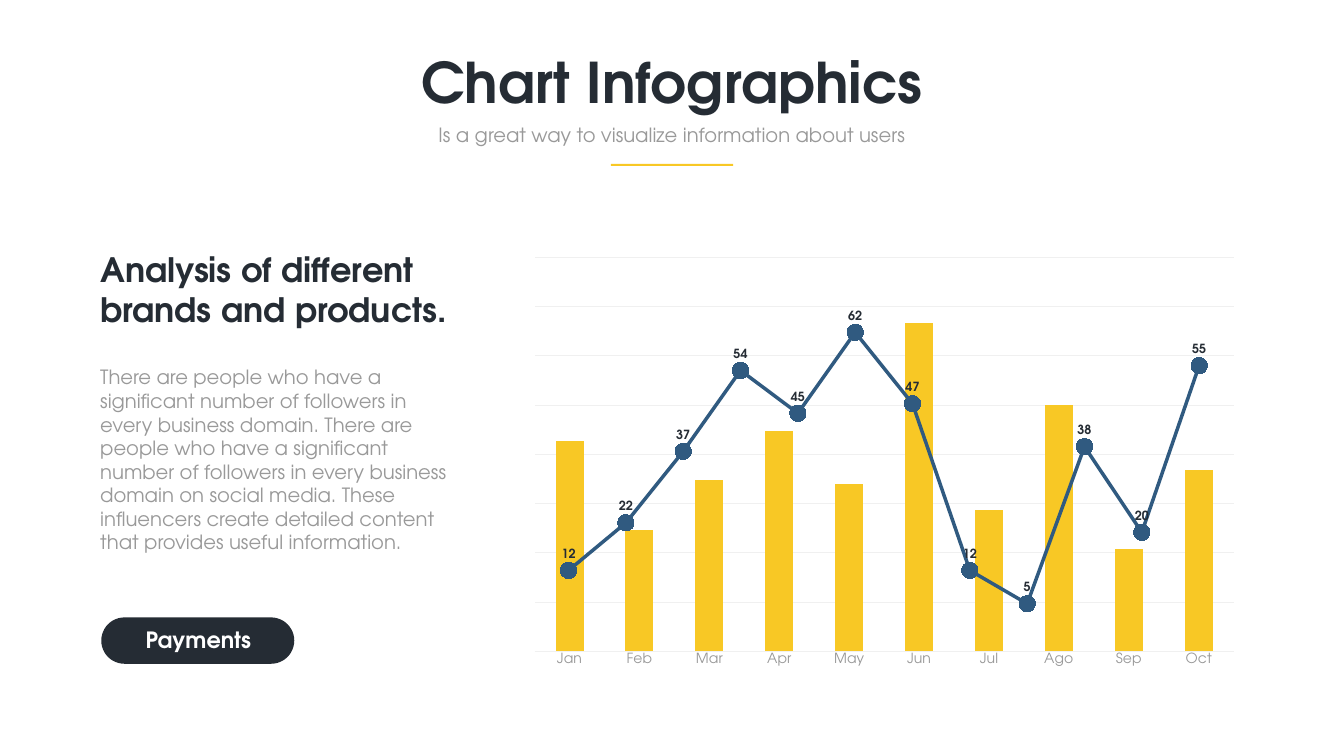
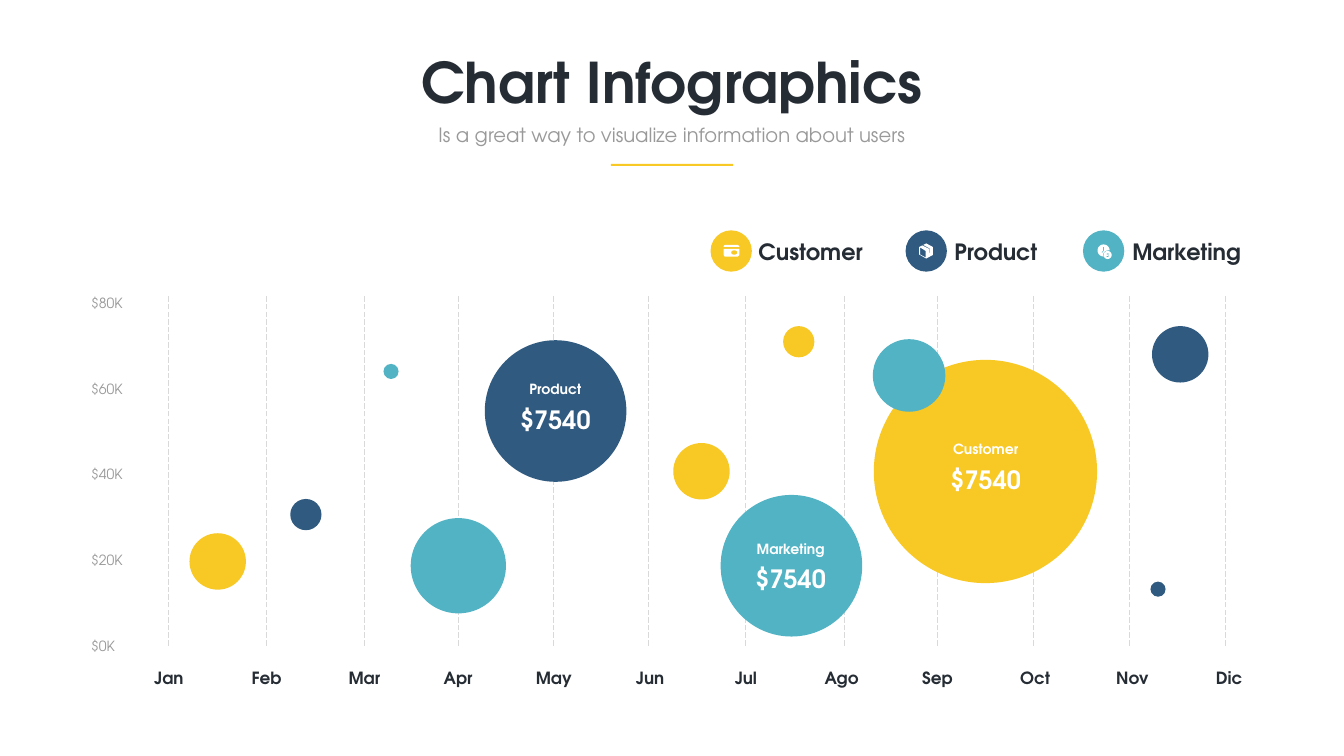
from math import cos, radians, sin

from lxml import etree
from pptx import Presentation
from pptx.chart.data import CategoryChartData
from pptx.dml.color import RGBColor
from pptx.enum.chart import XL_CHART_TYPE, XL_LABEL_POSITION, XL_MARKER_STYLE, XL_TICK_MARK
from pptx.enum.dml import MSO_LINE
from pptx.enum.shapes import MSO_CONNECTOR, MSO_SHAPE
from pptx.enum.text import MSO_ANCHOR, MSO_AUTO_SIZE, PP_ALIGN
from pptx.oxml import parse_xml
from pptx.oxml.ns import nsdecls, qn
from pptx.util import Inches, Pt

LEFT, CENTER = PP_ALIGN.LEFT, PP_ALIGN.CENTER
TOP, MIDDLE = MSO_ANCHOR.TOP, MSO_ANCHOR.MIDDLE
RECT, PILL, OVAL = MSO_SHAPE.RECTANGLE, MSO_SHAPE.ROUNDED_RECTANGLE, MSO_SHAPE.OVAL
COLUMNS, LINES = XL_CHART_TYPE.COLUMN_STACKED, XL_CHART_TYPE.LINE_MARKERS

FONT = "TeX Gyre Adventor"
HEX = {"dark": "252C34", "grey": "999999", "yellow": "F8C825", "blue": "305A80",
       "teal": "52B3C4", "white": "FFFFFF", "grid": "F0F0F0", "dash": "D9D9D9"}
C = {name: RGBColor.from_string(value) for name, value in HEX.items()}


def add_text(slide, text, x, y, w, h, size, color, bold=False, align=LEFT,
             spacing=None, anchor=TOP, inset=None):
    tf = slide.shapes.add_textbox(Inches(x), Inches(y), Inches(w), Inches(h)).text_frame
    tf.word_wrap = True
    tf.auto_size = MSO_AUTO_SIZE.SHAPE_TO_FIT_TEXT
    tf.vertical_anchor = anchor
    if inset is not None:
        tf.margin_left = tf.margin_right = tf.margin_top = tf.margin_bottom = Inches(inset)
    p = tf.paragraphs[0]
    p.alignment = align
    if spacing is not None:
        p.line_spacing = spacing
    r = p.add_run()
    r.text = text
    r.font.name = FONT
    r.font.size = Pt(size)
    r.font.bold = bold
    r.font.color.rgb = C[color]


def add_filled(slide, kind, x, y, w, h, color):
    sp = slide.shapes.add_shape(kind, Inches(x), Inches(y), Inches(w), Inches(h))
    sp.shadow.inherit = False
    sp.fill.solid()
    sp.fill.fore_color.rgb = C[color]
    sp.line.fill.background()
    return sp


prs = Presentation()
prs.slide_width, prs.slide_height = Inches(26.67), Inches(15)

# Shared heading
slides = [prs.slides.add_slide(prs.slide_layouts[6]) for _ in range(2)]
for s in slides:
    add_text(s, "Chart Infographics", 6.88, 0.9, 12.91, 1.45, 80, "dark", True, CENTER)
    add_text(s, "Is a great way to visualize information about users",
             8.55, 2.38, 9.56, 0.57, 28, "grey", align=CENTER)
    add_filled(s, RECT, 12.12, 3.25, 2.43, 0.04, "yellow")
combo, bubbles = slides

# Slide 1: columns with a line chart laid over them
# type, box, plot layout, font size, categories, values, axis maximum
MONTHS = ["Jan", "Feb", "Mar", "Apr", "May", "Jun", "Jul", "Ago", "Sep", "Oct", "Nov", "Dic"]
CHARTS = [
    (COLUMNS, (10.32, 4.93, 14.45, 8.5), (0.02, 0.02, 0.96, 0.92), 20, MONTHS[:10],
     (64, 37, 52, 67, 51, 100, 43, 75, 31, 55), 120),
    (LINES, (10.43, 5.7, 14.22, 6.89), (0.02, 0.02, 0.96, 0.96), 18,
     [str(n) for n in range(1, 13)],
     (12, 22, 37, 54, 45, 62, 47, 12, 5, 38, 20, 55), 70),
]
for kind, box, layout, size, cats, values, top in CHARTS:
    data = CategoryChartData()
    data.categories = cats
    data.add_series("Series 1", values)
    chart = combo.shapes.add_chart(kind, *map(Inches, box), data).chart
    chart.has_legend = chart.has_title = False
    chart.font.name = FONT
    chart.font.size = Pt(size)
    chart.font.color.rgb = C["grey"]

    area = chart.element.find(".//" + qn("c:plotArea"))
    for old in area.findall(qn("c:layout")):
        area.remove(old)
    x, y, w, h = layout
    area.insert(0, parse_xml(
        f'<c:layout {nsdecls("c")}><c:manualLayout><c:layoutTarget val="inner"/>'
        f'<c:xMode val="edge"/><c:yMode val="edge"/><c:x val="{x}"/><c:y val="{y}"/>'
        f'<c:w val="{w}"/><c:h val="{h}"/></c:manualLayout></c:layout>'))

    cat_axis, val_axis = chart.category_axis, chart.value_axis
    val_axis.minimum_scale, val_axis.maximum_scale = 0, top
    val_axis.visible = False
    plot = chart.plots[0]
    plot.vary_by_categories = False
    series = plot.series[0]
    if kind == COLUMNS:
        plot.gap_width, plot.overlap = 150, 100
        series.format.fill.solid()
        series.format.fill.fore_color.rgb = C["yellow"]
        val_axis.major_unit = 15
        val_axis.has_major_gridlines = True
        for line in (val_axis.major_gridlines.format.line, cat_axis.format.line):
            line.color.rgb = C["grid"]
            line.width = Pt(0.75)
        cat_axis.major_tick_mark = cat_axis.minor_tick_mark = XL_TICK_MARK.NONE
        cat_axis.tick_labels.font.name = FONT
        cat_axis.tick_labels.font.size = Pt(size)
        cat_axis.tick_labels.font.color.rgb = C["grey"]
    else:
        cat_axis.visible = False
        val_axis.has_major_gridlines = False
        series.smooth = False
        marker = series.marker
        marker.style, marker.size = XL_MARKER_STYLE.CIRCLE, 23
        marker.format.fill.solid()
        marker.format.fill.fore_color.rgb = C["white"]
        for line in (series.format.line, marker.format.line):
            line.color.rgb = C["blue"]
            line.width = Pt(5)
        labels = series.data_labels
        labels.show_value = True
        labels.position = XL_LABEL_POSITION.ABOVE
        labels.font.name = FONT
        labels.font.size = Pt(size)
        labels.font.bold = True
        labels.font.color.rgb = C["dark"]

# Side text and button
add_text(combo, "There are people who have a significant number of followers in every "
         "business domain. There are people who have a significant number of followers in "
         "every business domain on social media. These influencers create detailed content "
         "that provides useful information.", 1.89, 7.2, 7.23, 3.87, 28, "grey")
add_text(combo, "Analysis of different brands and products.",
         1.89, 4.88, 7.23, 1.72, 48, "dark", True)
add_filled(combo, PILL, 2.01, 12.25, 3.83, 0.92, "dark").adjustments[0] = 0.5
add_text(combo, "Payments", 2.28, 12.38, 3.31, 0.64, 32, "white", True, CENTER)

# Slide 2: scales and dashed month lines
for i, amount in enumerate(["$80K", "$60K", "$40K", "$20K", "$0K"]):
    add_text(bubbles, amount, 1.71, 5.56 + 1.7 * i, 1.12, 0.58, 20, "grey", spacing=Pt(40.8))

LABEL_X = [2.79, 4.73, 6.67, 8.53, 10.43, 12.34, 14.24, 16.14, 18.04, 19.98, 21.91, 23.83]
LINE_X = [3.35, 5.29, 7.23, 9.09, 10.99, 12.87, 14.8, 16.75, 18.61, 20.51, 22.42, 24.31]
for month, x in zip(MONTHS, LABEL_X):
    add_text(bubbles, month, x, 13.04, 1.12, 0.6, 24, "dark", True, CENTER, Pt(40.8))
for x in LINE_X:
    cn = bubbles.shapes.add_connector(MSO_CONNECTOR.STRAIGHT, Inches(x), Inches(12.81),
                                      Inches(x), Inches(5.85))
    cn.line.color.rgb = C["dash"]
    cn.line.width = Pt(1)
    cn.line.dash_style = MSO_LINE.LONG_DASH
    etree.SubElement(cn.element.spPr, qn("a:effectLst"))

# Bubbles: left, top, diameter, colour
BUBBLES = [
    (3.76, 10.58, 1.12, "yellow"), (5.76, 9.9, 0.62, "blue"), (7.61, 7.22, 0.3, "teal"),
    (9.62, 6.75, 2.81, "blue"), (13.36, 8.79, 1.12, "yellow"), (15.54, 6.47, 0.62, "yellow"),
    (17.34, 7.14, 4.43, "yellow"), (14.3, 9.82, 2.81, "teal"), (8.15, 10.28, 1.89, "teal"),
    (22.86, 6.47, 1.12, "blue"), (22.83, 11.54, 0.3, "blue"), (17.32, 6.73, 1.44, "teal"),
]
for x, y, d, color in BUBBLES:
    add_filled(bubbles, OVAL, x, y, d, d, color)

# Legend: name, text left, text width, dot left, colour
LEGEND = [("Customer", 14.95, 3.48, 14.1, "yellow"), ("Product", 18.84, 3.48, 17.97, "blue"),
          ("Marketing", 22.37, 2.49, 21.49, "teal")]
for name, x, w, dot_x, color in LEGEND:
    add_text(bubbles, name, x, 4.67, w, 0.64, 32, "dark", True)
    add_filled(bubbles, OVAL, dot_x, 4.57, 0.82, 0.82, color)

# Legend icons, each a list of contours; later contours cut holes
ring = [(cos(radians(a)), sin(radians(a))) for a in range(0, 361, 15)]
clock = [(21.9 + 0.12 * u, 4.97 + 0.12 * v) for u, v in ring[6:]]
clock += [(21.98 + 0.09 * u, 5.06 + 0.09 * v) for u, v in ring[18:11:-1]]
hand = [(21.89, 4.9), (21.91, 4.9), (21.91, 4.97), (21.87, 5.02), (21.86, 5.01), (21.89, 4.97)]
coin = [(21.98 + 0.08 * u, 5.06 + 0.08 * v) for u, v in ring]
dollar = [(21.98, 5.01), (21.99, 5.02), (22.01, 5.02), (22.01, 5.03), (21.98, 5.03),
          (21.97, 5.04), (21.98, 5.05), (22, 5.05), (22.01, 5.07), (22, 5.09), (21.99, 5.1),
          (21.98, 5.11), (21.98, 5.1), (21.96, 5.1), (21.96, 5.08), (21.99, 5.08), (22, 5.07),
          (21.99, 5.06), (21.97, 5.06), (21.96, 5.04), (21.97, 5.02), (21.98, 5.02)]
card_top = [(14.36, 4.9), (14.36, 4.88), (14.38, 4.86), (14.64, 4.86), (14.67, 4.88),
            (14.67, 4.9)]
card_body = [(14.36, 4.94), (14.67, 4.94), (14.67, 5.06), (14.64, 5.09), (14.38, 5.09),
             (14.36, 5.06)]
clasp = [(14.55 + 0.04 * u, 5.01 + 0.04 * v) for u, v in ring[6:19]]
clasp += [(14.59 + 0.04 * u, 5.01 + 0.04 * v) for u, v in ring[18:] + ring[1:7]]
parcel = [(18.51, 4.9), (18.38, 4.83), (18.32, 4.86), (18.45, 4.93), (18.45, 5.03),
          (18.44, 5.02), (18.44, 4.94), (18.3, 4.87), (18.24, 4.9), (18.24, 5.05),
          (18.38, 5.13), (18.51, 5.06)]
parcel_side = [(18.37, 5.11), (18.26, 5.05), (18.26, 4.91), (18.37, 4.98)]
for contours in ([clock, hand], [coin, dollar], [card_top], [card_body, clasp],
                 [parcel, parcel_side]):
    outlines = [[(Inches(x), Inches(y)) for x, y in points] for points in contours]
    fb = bubbles.shapes.build_freeform(*outlines[0][0])
    fb.add_line_segments(outlines[0][1:])
    for hole in outlines[1:]:
        fb.move_to(*hole[0])
        fb.add_line_segments(hole[1:])
    sp = fb.convert_to_shape()
    sp.shadow.inherit = False
    sp.fill.solid()
    sp.fill.fore_color.rgb = C["white"]
    sp.line.fill.background()

# Captions inside the three named bubbles
for name, x, y in [("Customer", 18.57, 8.78), ("Product", 10.03, 7.59),
                   ("Marketing", 14.7, 10.75)]:
    add_text(bubbles, name, x, y, 1.98, 0.35, 20, "white", True, CENTER, 0.7, MIDDLE, 0.06)
    add_text(bubbles, "$7540", x, y + 0.37, 1.98, 0.72, 36, "white", True, CENTER,
             None, MIDDLE, 0.06)

prs.save("out.pptx")
